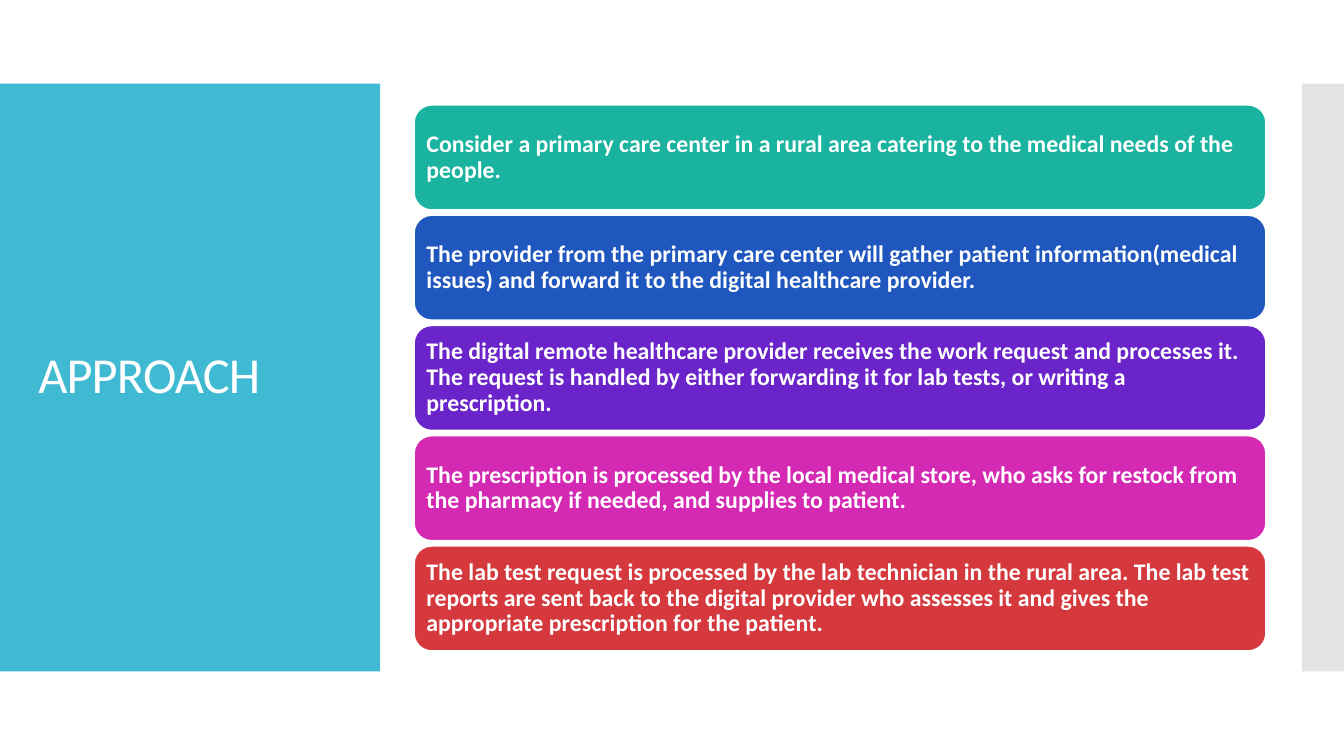
from dataclasses import dataclass
from typing import NamedTuple

from pptx import Presentation
from pptx.dml.color import RGBColor
from pptx.enum.shapes import MSO_SHAPE
from pptx.enum.text import MSO_ANCHOR, MSO_AUTO_SIZE, PP_ALIGN
from pptx.util import Cm, Pt

RECTANGLE = MSO_SHAPE.RECTANGLE
ROUNDED = MSO_SHAPE.ROUNDED_RECTANGLE
MIDDLE = MSO_ANCHOR.MIDDLE
LEFT = PP_ALIGN.LEFT
NO_AUTOFIT = MSO_AUTO_SIZE.NONE
TITLE_ONLY = 5


@dataclass(frozen=True)
class Theme:
    font: str = "Calibri"
    white: str = "FFFFFF"
    panel: str = "40BAD2"
    edge: str = "E3E3E3"
    steps: tuple = ("1AB39F", "1F57BF", "6A24CA", "D429B3", "D5393D")
    title_size: float = 36
    step_size: float = 17
    outline: float = 0.85
    line_spacing: float = 0.9


class Box(NamedTuple):
    """A region of the slide, in centimetres."""
    left: float
    top: float
    width: float
    height: float

    def lengths(self):
        return [Cm(value) for value in self]


THEME = Theme()
STEPS = (
    "Consider a primary care center in a rural area catering to the medical needs of the people.",
    "The provider from the primary care center will gather patient information(medical issues) "
    "and forward it to the digital healthcare provider.",
    "The digital remote healthcare provider receives the work request and processes it. "
    "The request is handled by either forwarding it for lab tests, or writing a prescription.",
    "The prescription is processed by the local medical store, who asks for restock from "
    "the pharmacy if needed, and supplies to patient.",
    "The lab test request is processed by the lab technician in the rural area. The lab test "
    "reports are sent back to the digital provider who assesses it and gives the appropriate "
    "prescription for the patient.",
)


def add_block(page, preset, box, color):
    block = page.shapes.add_shape(preset, *box.lengths())
    block.shadow.inherit = False
    block.fill.solid()
    block.fill.fore_color.rgb = RGBColor.from_string(color)
    block.line.fill.background()
    return block


def write_text(shape, text, size, bold=False):
    """Fill a shape with one white, left-aligned, vertically centred paragraph."""
    frame = shape.text_frame
    frame.text = text
    frame.word_wrap = True
    frame.auto_size = NO_AUTOFIT
    frame.vertical_anchor = MIDDLE
    para = frame.paragraphs[0]
    para.alignment = LEFT
    para.line_spacing = THEME.line_spacing
    para.font.name = THEME.font
    para.font.size = Pt(size)
    para.font.bold = bold
    para.font.color.rgb = RGBColor.from_string(THEME.white)
    return frame


def add_title_panel(page, box):
    panel = add_block(page, RECTANGLE, box, THEME.panel)
    title = page.shapes.title
    panel.element.addnext(title.element)
    margin_x, margin_y = 0.71, 1.02
    title.left, title.top, title.width, title.height = Box(
        box.left + margin_x, box.top + margin_y,
        box.width - 2 * margin_x, box.height - 2 * margin_y).lengths()
    frame = write_text(title, "APPROACH", THEME.title_size)
    span = frame.paragraphs[0].runs[0]
    span.font._element.set("spc", "-60")


def add_steps(page, box, gap=0.14):
    """Stack the steps in equal rows over the whole box."""
    height = (box.height - gap * (len(STEPS) - 1)) / len(STEPS)
    for index, (text, color) in enumerate(zip(STEPS, THEME.steps)):
        top = box.top + index * (height + gap)
        step = add_block(page, ROUNDED, Box(box.left, top, box.width, height), color)
        step.line.color.rgb = RGBColor.from_string(THEME.white)
        step.line.width = Pt(THEME.outline)
        frame = write_text(step, text, THEME.step_size, bold=True)
        frame.margin_left = frame.margin_right = Cm(0.18)
        frame.margin_top = frame.margin_bottom = Cm(0.18)


def main():
    deck = Presentation()
    deck.slide_width, deck.slide_height = Cm(33.87), Cm(19.05)
    page = deck.slides.add_slide(deck.slide_layouts[TITLE_ONLY])
    band_top, band_height = 2.11, 14.81
    add_title_panel(page, Box(0, band_top, 9.58, band_height))
    add_block(page, RECTANGLE, Box(32.81, band_top, 1.06, band_height), THEME.edge)
    add_steps(page, Box(10.44, 2.65, 21.46, 13.75))
    deck.save("out.pptx")


if __name__ == "__main__":
    main()
